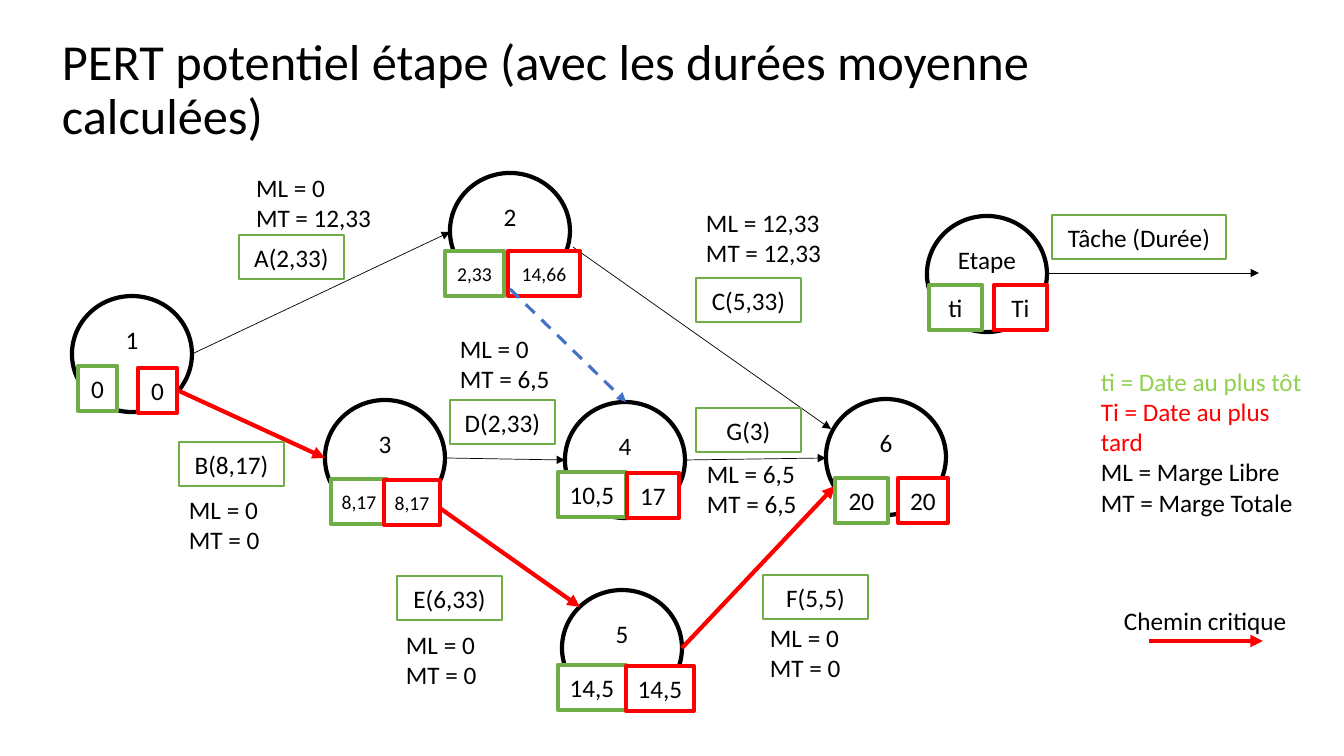
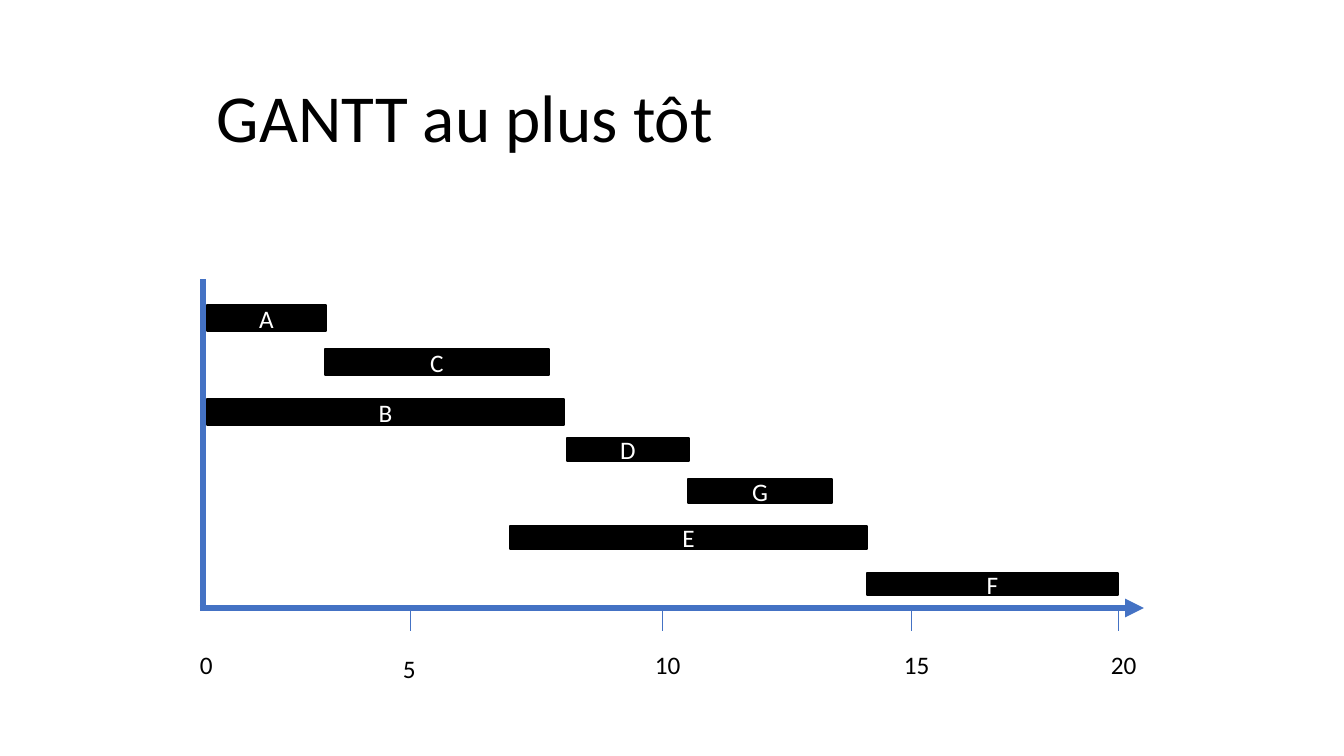
from lxml import etree
from pptx import Presentation
from pptx.dml.color import RGBColor
from pptx.enum.dml import MSO_LINE
from pptx.enum.shapes import MSO_CONNECTOR, MSO_SHAPE
from pptx.enum.text import MSO_ANCHOR, PP_ALIGN
from pptx.oxml.ns import qn
from pptx.util import Emu, Pt

SCALE = 914400 / 100.8
FONT = "Calibri"
BLACK, WHITE, GREEN, RED = "000000", "FFFFFF", "70AD47", "FF0000"
LIME, BLUE = "92D050", "4472C4"

# PERT: name, circle corner, earliest and latest date (text, x, y, width), date size
CIRCLE = (120, 116)
DATE_HEIGHT = 45
STEPS = [
    ("6", (826, 399), ("20", 835, 478, 53), ("20", 898, 478, 50), 18),
    ("Etape", (927, 216), ("ti", 929, 285, 53), ("Ti", 994, 285, 53), 18),
    ("5", (562, 590), ("14,5", 558, 665, 68), ("14,5", 626, 666, 68), 18),
    ("4", (565, 402), ("10,5", 558, 472, 68), ("17", 627, 473, 52), 18),
    ("3", (325, 400), ("8,17", 331, 479, 56), ("8,17", 384, 480, 56), 14),
    ("2", (450, 173), ("2,33", 445, 251, 59), ("14,66", 508, 251, 72), 14),
    ("1", (72, 296), ("0", 78, 366, 39), ("0", 138, 368, 39), 18),
]
# Task label, label corner, free and total margin, note corner, note width
TASKS = [
    ("A(2,33)", (239, 235), "0", "12,33", (246, 167), 138),
    ("B(8,17)", (179, 442), "0", "0", (179, 489), 120),
    ("C(5,33)", (696, 278), "12,33", "12,33", (696, 202), 153),
    ("D(2,33)", (450, 400), "0", "6,5", (450, 328), 120),
    ("G(3)", (696, 408), "6,5", "6,5", (697, 453), 120),
    ("E(6,33)", (397, 576), "0", "0", (396, 624), 120),
    ("F(5,5)", (763, 575), "0", "0", (760, 617), 120),
]
LABEL = (105, 44)
NORMAL_ARROWS = [
    (192, 354, 450, 232), (573, 247, 831, 429), (445, 458, 565, 460),
    (685, 460, 826, 458), (1047, 273, 1259, 273),
]
CRITICAL_ARROWS = [
    (177, 390, 325, 458), (427, 499, 580, 607), (682, 648, 835, 486),
    (1149, 641, 1263, 641),
]
DUMMY_ARROW = (510, 289, 626, 402)
LEGEND = [
    ("ti = Date au plus tôt", LIME), ("Ti = Date au plus tard", RED),
    ("ML = Marge Libre", BLACK), ("MT = Marge Totale", BLACK),
]

# GANTT: name, left, top, width, height
BARS = [
    ("A", 207, 305, 119, 26), ("B", 207, 399, 357, 26), ("C", 325, 349, 224, 26),
    ("D", 567, 438, 122, 23), ("E", 510, 526, 357, 23), ("F", 867, 573, 251, 22),
    ("G", 688, 479, 144, 24),
]
AXIS_Y = 608
TICK_LENGTH = 23
# Label, tick x, label top, label width
MARKS = [("0", 207, 644, 33), ("5", 410, 648, 33), ("10", 662, 644, 46),
         ("15", 911, 644, 46), ("20", 1118, 644, 46)]


def px(*lengths):
    """Turn pixels into a list of EMU lengths."""
    return [Emu(round(length * SCALE)) for length in lengths]


def color(value):
    """Return the colour of a hex string."""
    return RGBColor.from_string(value)


def write(shape, lines, size=18, ink=BLACK, align=PP_ALIGN.LEFT,
          anchor=MSO_ANCHOR.TOP, insets=(10, 5, 10, 5), wrap=True, spacing=1.0):
    """Fill a shape with lines, each a string or a (string, colour) pair."""
    frame = shape.text_frame
    frame.word_wrap = wrap
    frame.vertical_anchor = anchor
    (frame.margin_left, frame.margin_top,
     frame.margin_right, frame.margin_bottom) = px(*insets)
    for index, line in enumerate(lines):
        text, tint = (line, ink) if isinstance(line, str) else line
        para = frame.add_paragraph() if index else frame.paragraphs[0]
        para.alignment = align
        para.line_spacing = spacing
        span = para.add_run()
        span.text = text
        span.font.name = FONT
        span.font.size = Pt(size)
        span.font.color.rgb = color(tint)


def add_title(page, text, place, size):
    """Move and fill the title placeholder."""
    title = page.shapes.title
    title.left, title.top, title.width, title.height = px(*place)
    write(title, [text], size=size, anchor=MSO_ANCHOR.MIDDLE, spacing=0.9)


def add_note(page, lines, place, **style):
    """Add a plain text box."""
    write(page.shapes.add_textbox(*px(*place)), lines, **style)


def add_box(page, text, place, line, weight, fill=WHITE, kind=MSO_SHAPE.RECTANGLE,
            insets=(0, 0, 0, 0), **style):
    """Add an outlined shape with centred text."""
    box = page.shapes.add_shape(kind, *px(*place))
    box.shadow.inherit = False
    box.fill.solid()
    box.fill.fore_color.rgb = color(fill)
    box.line.color.rgb = color(line)
    box.line.width = Pt(weight)
    write(box, [text], align=PP_ALIGN.CENTER, anchor=MSO_ANCHOR.MIDDLE,
          insets=insets, **style)


def add_line(page, ends, ink, weight, arrow=True, dashed=False):
    """Add a straight line, with an arrowhead at its end if wanted."""
    line = page.shapes.add_connector(MSO_CONNECTOR.STRAIGHT, *px(*ends))
    line.line.color.rgb = color(ink)
    line.line.width = Pt(weight)
    if dashed:
        line.line.dash_style = MSO_LINE.DASH
    if arrow:
        etree.SubElement(line.line._get_or_add_ln(), qn("a:tailEnd"), type="triangle")
    etree.SubElement(line._element.spPr, qn("a:effectLst"))


def build_pert(page):
    """Draw the PERT network and its legend."""
    add_title(page, "PERT potentiel étape (avec les durées moyenne calculées)",
              (52, 18, 1199, 146), 36)
    for name, corner, *_ in STEPS:
        add_box(page, name, (*corner, *CIRCLE), BLACK, 3, kind=MSO_SHAPE.OVAL,
                insets=(0, 0, 0, 30))
    for ends in NORMAL_ARROWS:
        add_line(page, ends, BLACK, 0.5)
    for ends in CRITICAL_ARROWS:
        add_line(page, ends, RED, 3)
    for label, corner, free, total, note_corner, note_width in TASKS:
        add_box(page, label, (*corner, *LABEL), GREEN, 1)
        add_note(page, [f"ML = {free}", f"MT = {total}"],
                 (*note_corner, note_width, 72))
    add_box(page, "Tâche (Durée)", (1052, 215, 174, 44), GREEN, 1)
    for _, _, earliest, latest, size in STEPS:
        for (text, left, top, width), line in ((earliest, GREEN), (latest, RED)):
            add_box(page, text, (left, top, width, DATE_HEIGHT), line, 3, size=size)
    add_note(page, ["Chemin critique"], (1114, 600, 184, 40), wrap=False)
    add_note(page, LEGEND, (1091, 361, 230, 163))
    add_line(page, DUMMY_ARROW, BLUE, 2.25, dashed=True)


def build_gantt(page):
    """Draw the GANTT bars over their time axis."""
    add_title(page, "GANTT au plus tôt", (207, 75, 648, 92), 48)
    add_line(page, (200, AXIS_Y, 1144, AXIS_Y), BLUE, 4.5)
    add_line(page, (203, 610, 203, 279), BLUE, 4.5, arrow=False)
    for name, *place in BARS:
        add_box(page, name, place, BLACK, 1, fill=BLACK, ink=WHITE)
    for text, left, top, width in MARKS:
        if text != "0":
            add_line(page, (left, AXIS_Y, left, AXIS_Y + TICK_LENGTH), BLUE, 0.5,
                     arrow=False)
        add_note(page, [text], (left - 17, top, width, 40), wrap=False)


deck = Presentation()
deck.slide_width, deck.slide_height = px(1344, 756)
for build in (build_pert, build_gantt):
    build(deck.slides.add_slide(deck.slide_layouts[5]))
deck.save("out.pptx")
